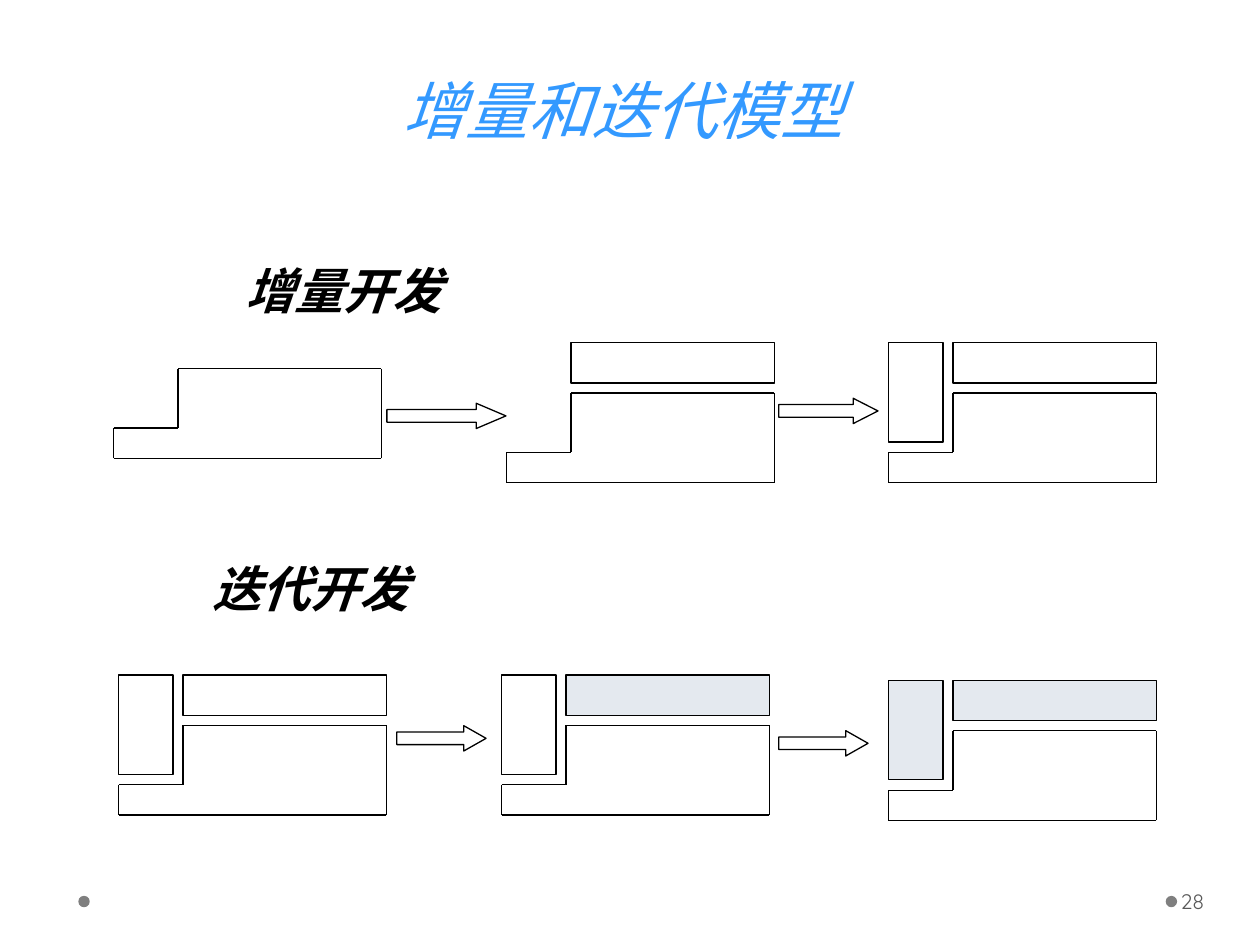
from lxml import etree
from pptx import Presentation
from pptx.dml.color import RGBColor
from pptx.enum.shapes import MSO_CONNECTOR, MSO_SHAPE
from pptx.enum.text import MSO_ANCHOR, PP_ALIGN
from pptx.oxml.ns import qn
from pptx.util import Cm, Pt

RECT, OVAL, ARROW = MSO_SHAPE.RECTANGLE, MSO_SHAPE.OVAL, MSO_SHAPE.RIGHT_ARROW
STRAIGHT = MSO_CONNECTOR.STRAIGHT
TOP, MIDDLE, BOTTOM = MSO_ANCHOR.TOP, MSO_ANCHOR.MIDDLE, MSO_ANCHOR.BOTTOM
LEFT, CENTER = PP_ALIGN.LEFT, PP_ALIGN.CENTER

COLORS = {"title": "3399FF", "ink": "000000", "new": "FFFFFF",
          "revised": "E4E9EF", "dot": "7F7F7F", "number": "595959"}

TITLE = {"size": Pt(36), "name": "Cambria", "italic": True}
HEADING = {"size": Pt(28), "name": "Arial", "bold": True, "italic": True}
NUMBER = {"size": Pt(12), "name": "Quicksand"}

NO_INSETS = (0, 0, 0, 0)
INSETS = (0.25, 0.13, 0.25, 0.13)
TEXTS = [
    ("增量和迭代模型", (2.11, 1.32, 20.9, 1.65), TITLE, "title",
     CENTER, BOTTOM, NO_INSETS, True, Pt(58)),
    ("增量开发", (4.7, 5.13, 4.45, 1.45), HEADING, "ink",
     CENTER, TOP, INSETS, False, None),
    ("迭代开发", (4.04, 11.13, 4.45, 1.45), HEADING, "ink",
     CENTER, TOP, INSETS, False, None),
    ("28", (23.72, 17.65, 1.55, 1.02), NUMBER, "number",
     LEFT, MIDDLE, (0.08, 0.13, 0.13, 0.13), True, None),
]

STAGES = [
    (2.29, 6.42, {}),
    (10.21, 6.91, {"bar": "new"}),
    (17.91, 6.91, {"column": "new", "bar": "new"}),
    (2.39, 13.61, {"column": "new", "bar": "new"}),
    (10.11, 13.61, {"column": "new", "bar": "revised"}),
    (17.91, 13.72, {"column": "revised", "bar": "revised"}),
]
PARTS = {"column": (0, 0, 1.1, 2), "bar": (1.3, 0, 4.1, 0.81)}
BASE = [(0, 2.21), (1.3, 2.21), (1.3, 1.01), (5.4, 1.01), (5.4, 2.82), (0, 2.82)]

ARROW_HEIGHT = 0.51
ARROWS = [(7.8, 8.13, 2.4), (15.7, 8.03, 2), (8, 14.63, 1.8), (15.7, 14.73, 1.8)]
DOT_SIZE = 0.23
DOTS = [(23.5, 18.06), (1.58, 18.06)]


def rgb(key):
    return RGBColor.from_string(COLORS[key])


def add_shape(slide, kind, box, fill, outlined=True):
    s = slide.shapes.add_shape(kind, *map(Cm, box))
    s.shadow.inherit = False
    s.fill.solid()
    s.fill.fore_color.rgb = rgb(fill)
    if outlined:
        s.line.color.rgb = rgb("ink")
        s.line.width = Pt(0.75)
    else:
        s.line.fill.background()
    return s


def add_line(slide, start, end):
    c = slide.shapes.add_connector(STRAIGHT, *map(Cm, start + end))
    c.line.color.rgb = rgb("ink")
    c.line.width = Pt(0.75)
    etree.SubElement(c._element.spPr, qn("a:effectLst"))


def add_text(slide, text, box, style, color, align, anchor, insets, wrap, spacing):
    tf = slide.shapes.add_textbox(*map(Cm, box)).text_frame
    tf.word_wrap = wrap
    tf.vertical_anchor = anchor
    for side, inset in zip(("left", "top", "right", "bottom"), insets):
        setattr(tf, f"margin_{side}", Cm(inset))
    p = tf.paragraphs[0]
    p.alignment = align
    if spacing:
        p.line_spacing = spacing
    r = p.add_run()
    r.text = text
    for name, value in style.items():
        setattr(r.font, name, value)
    r.font.color.rgb = rgb(color)


def add_stage(slide, left, top, fills):
    for part, fill in fills.items():
        x, y, width, height = PARTS[part]
        add_shape(slide, RECT, (left + x, top + y, width, height), fill)
    corners = [(left + x, top + y) for x, y in BASE]
    for start, end in zip(corners, corners[1:] + corners[:1]):
        add_line(slide, start, end)


def main():
    prs = Presentation()
    prs.slide_width, prs.slide_height = Cm(25.4), Cm(19.05)
    slide = prs.slides.add_slide(prs.slide_layouts[6])
    for x, y in DOTS:
        add_shape(slide, OVAL, (x, y, DOT_SIZE, DOT_SIZE), "dot", outlined=False)
    for stage in STAGES:
        add_stage(slide, *stage)
    for x, y, width in ARROWS:
        s = add_shape(slide, ARROW, (x, y, width, ARROW_HEIGHT), "new")
        s.adjustments[1] = width / 4 / ARROW_HEIGHT
    for text in TEXTS:
        add_text(slide, *text)
    prs.save("out.pptx")


if __name__ == "__main__":
    main()
